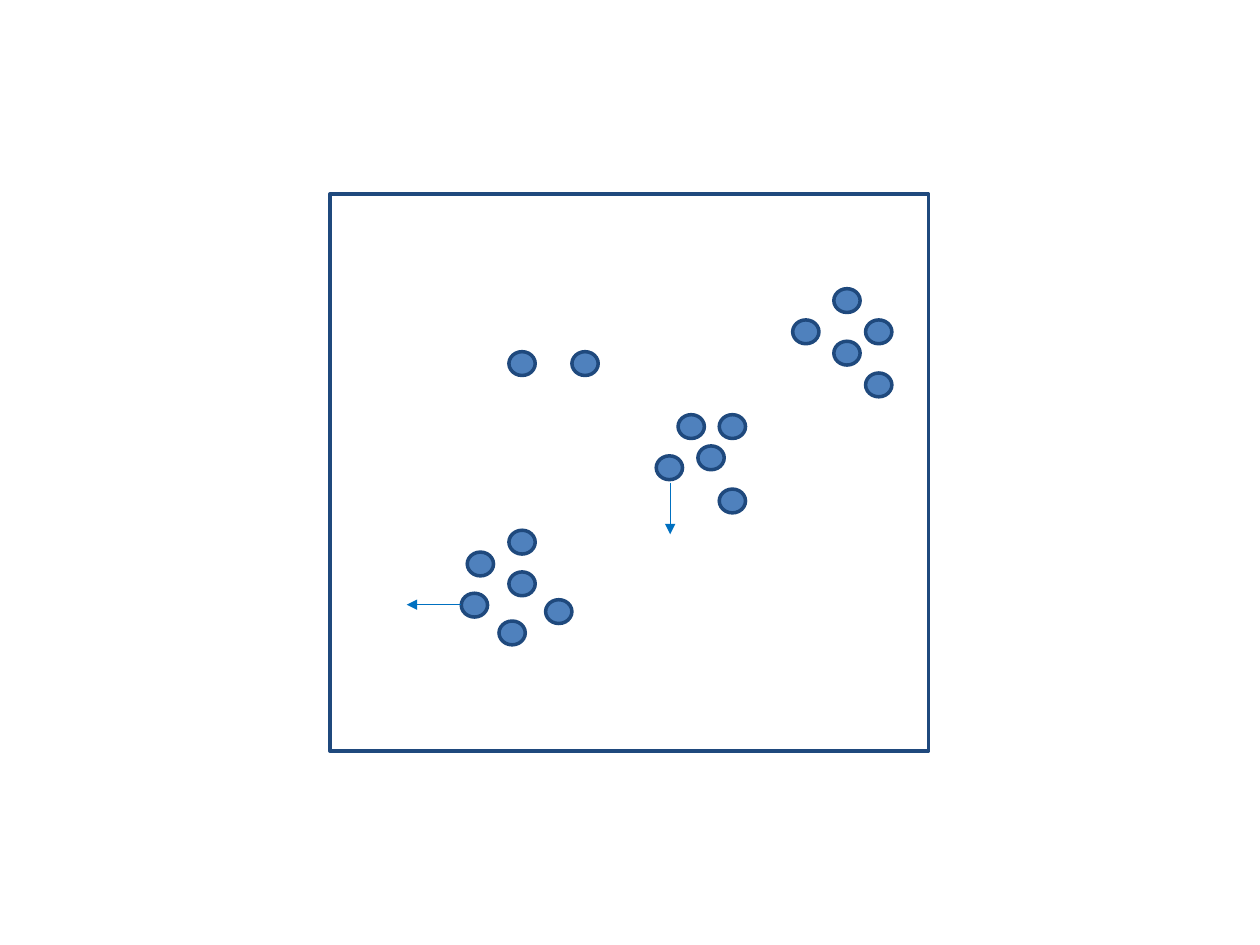
from lxml.etree import SubElement
from pptx import Presentation
from pptx.dml.color import RGBColor
from pptx.enum.shapes import MSO_CONNECTOR as LINK, MSO_SHAPE as SHAPE
from pptx.oxml.ns import qn
from pptx.util import Cm, Pt


def color(value):
    return RGBColor.from_string(value)


def add_outlined(group, kind, left, top, width, height):
    shape = group.shapes.add_shape(kind, Cm(left), Cm(top), Cm(width), Cm(height))
    shape.shadow.inherit = False
    shape.line.color.rgb = color("1F497D")
    shape.line.width = Pt(2)
    return shape


deck = Presentation()
deck.slide_width, deck.slide_height = Cm(25.4), Cm(19.05)
page = deck.slides.add_slide(deck.slide_layouts[6])
diagram = page.shapes.add_group_shape()

frame = add_outlined(diagram, SHAPE.RECTANGLE, 6.65, 3.91, 12.07, 11.23)
frame.fill.background()

clusters = {
    "upper right": [(17.45, 7.52), (17.45, 6.45), (16.81, 6.88), (16.81, 5.82), (15.98, 6.45)],
    "center": [(14.07, 8.99), (14.5, 9.86), (13.67, 8.36), (14.5, 8.36), (13.23, 9.19)],
    "pair": [(10.26, 7.09), (11.53, 7.09)],
    "lower left": [(9.42, 11.13), (10.26, 11.53), (9.3, 11.96), (10.26, 10.69),
                   (10.06, 12.52), (11, 12.09)],
}
for cluster, dots in clusters.items():
    for number, (left, top) in enumerate(dots, 1):
        dot = add_outlined(diagram, SHAPE.OVAL, left, top, 0.53, 0.48)
        dot.name = f"Dot {cluster} {number}"
        dot.fill.solid()
        dot.fill.fore_color.rgb = color("4F81BD")

arrows = [(9.3, 12.19, 8.2, 12.19), (13.51, 9.73, 13.51, 10.77)]
for ends in arrows:
    arrow = diagram.shapes.add_connector(LINK.STRAIGHT, *map(Cm, ends))
    arrow.line.color.rgb = color("0070C0")
    arrow.line.width = Pt(0.75)
    SubElement(arrow.line._get_or_add_ln(), qn("a:tailEnd"), type="triangle")
    SubElement(arrow._element.spPr, qn("a:effectLst"))

deck.save("out.pptx")
